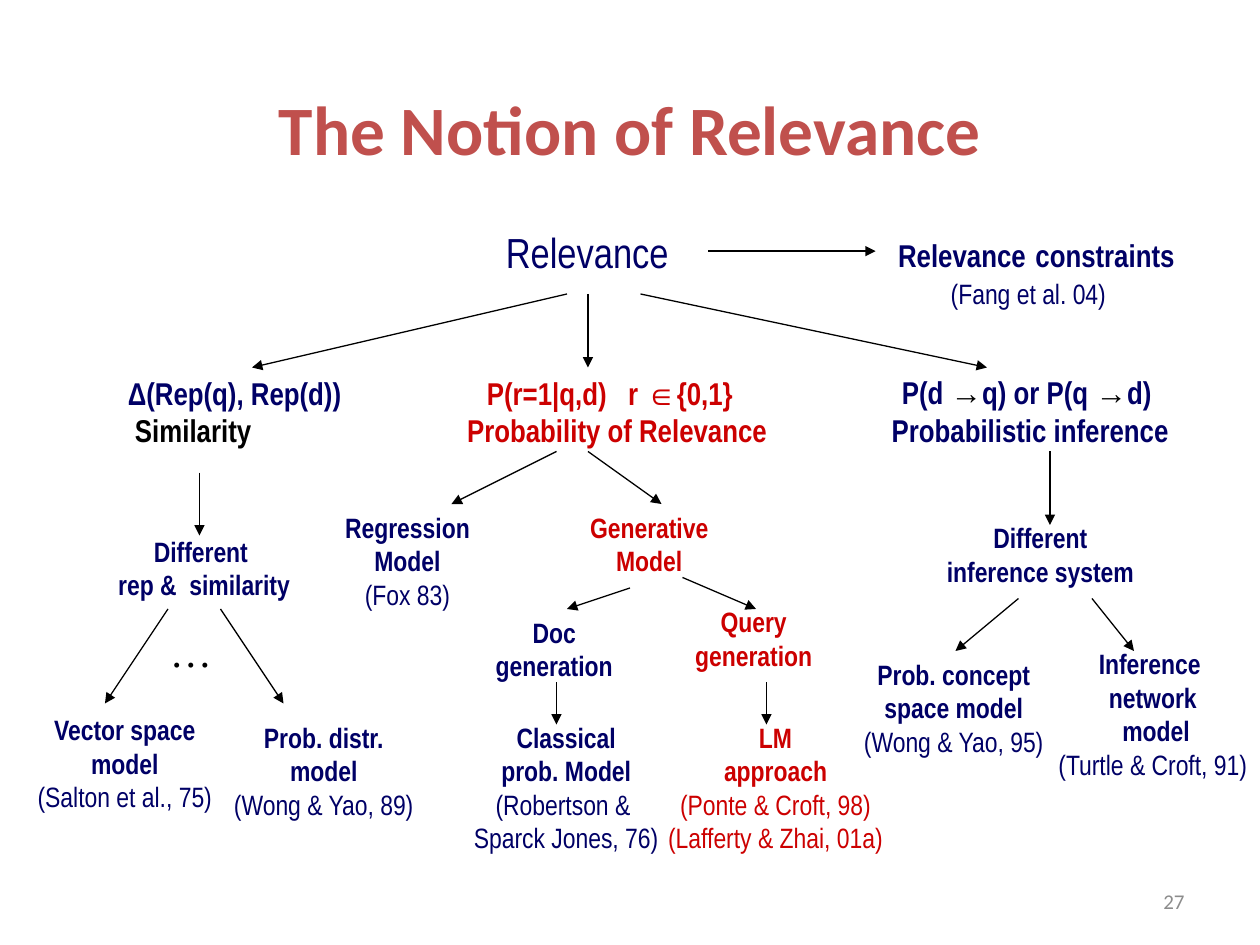
from lxml import etree
from pptx import Presentation
from pptx.dml.color import RGBColor
from pptx.enum.shapes import MSO_CONNECTOR
from pptx.enum.text import MSO_ANCHOR, MSO_AUTO_SIZE, PP_ALIGN
from pptx.oxml.ns import qn
from pptx.util import Pt

LEFT, CENTER, RIGHT = PP_ALIGN.LEFT, PP_ALIGN.CENTER, PP_ALIGN.RIGHT
MIDDLE = MSO_ANCHOR.MIDDLE
FIT, FIXED = MSO_AUTO_SIZE.SHAPE_TO_FIT_TEXT, MSO_AUTO_SIZE.NONE
STRAIGHT = MSO_CONNECTOR.STRAIGHT
NAVY, RED, BLACK = "000066", "CC0000", "000000"
SERIF = "Times New Roman"


def rgb(code):
    return RGBColor.from_string(code)


class Diagram:
    base = {"name": "Arial Narrow", "size": 18, "bold": True, "color": NAVY}

    def __init__(self, slide):
        self.s = slide

    def add_run(self, p, text, fmt):
        r = p.add_run()
        r.text = text
        fmt = {**self.base, **fmt}
        r.font.color.rgb = rgb(fmt.pop("color"))
        fmt["size"] = Pt(fmt["size"])
        for name, value in fmt.items():
            setattr(r.font, name, value)

    def text(self, box, lines, align=CENTER, **frame):
        """Each line is a list of (text, format) runs."""
        tf = self.s.shapes.add_textbox(*map(Pt, box)).text_frame
        for name, value in {"word_wrap": False, "auto_size": FIT, **frame}.items():
            setattr(tf, name, value)
        for i, line in enumerate(lines):
            p = tf.add_paragraph() if i else tf.paragraphs[0]
            p.alignment = align
            for text, fmt in line:
                self.add_run(p, text, fmt)

    def node(self, box, names, sources=(), color=NAVY):
        """Bold name lines above plain citation lines."""
        lines = [[(t, {"size": 16, "color": color})] for t in names]
        lines += [[(t, {"size": 16, "color": color, "bold": False})] for t in sources]
        self.text(box, lines, margin_left=Pt(4), margin_right=Pt(4))

    def arrow(self, x1, y1, x2, y2):
        c = self.s.shapes.add_connector(STRAIGHT, *map(Pt, (x1, y1, x2, y2)))
        c.line.color.rgb = rgb(BLACK)
        c.line.width = Pt(0.75)
        sp_pr = c._element.spPr
        etree.SubElement(sp_pr.find(qn("a:ln")), qn("a:tailEnd"), type="triangle")
        etree.SubElement(sp_pr, qn("a:effectLst"))


NODES = [
    ((60.5, 301.7, 112.3, 46), ["Different ", "rep &  similarity"]),
    ((14.4, 403.7, 113.8, 65), ["Vector space", "model"], ["(Salton et al., 75)"]),
    ((126, 408, 118, 65), ["Prob. distr.", "model"], ["(Wong & Yao, 89)"]),
    ((330, 288, 82, 46), ["Generative", "Model"], [], RED),
    ((190, 288, 85.7, 65), ["Regression", "Model"], ["(Fox 83)"]),
    ((263.5, 408, 120.2, 84), ["Classical", "prob. Model"],
     ["(Robertson & ", "Sparck Jones, 76)"]),
    ((276, 348, 81.4, 46), ["Doc", "generation"]),
    ((390, 342, 81.4, 46), ["Query", "generation"], [], RED),
    ((374.4, 408, 137.5, 84), ["LM", "approach"],
     ["(Ponte & Croft, 98)", "(Lafferty & Zhai, 01a)"], RED),
    ((486, 372, 118, 65), ["Prob. concept", "space model"], ["(Wong & Yao, 95)"]),
    ((534, 294, 121, 46), ["Different", "inference system"]),
    ((597.6, 366, 122.4, 84), ["Inference ", "network", " model"],
     ["(Turtle & Croft, 91)"]),
]

ARROWS = [
    (324, 168, 144, 210), (336, 168, 336, 210), (366, 168, 564, 210),
    (114, 270, 114, 306), (96, 348, 60, 402), (126, 348, 162, 402),
    (318, 258, 258, 288), (336, 258, 378, 288),
    (360, 336, 324, 348), (390, 330, 432, 348),
    (318, 390, 318, 414), (438, 390, 438, 414),
    (600, 258, 600, 300), (582, 342, 546, 372), (624, 342, 648, 372),
    (404.6, 143.5, 500.4, 143.5),
]


def main():
    prs = Presentation()
    prs.slide_width, prs.slide_height = Pt(720), Pt(540)
    d = Diagram(prs.slides.add_slide(prs.slide_layouts[6]))

    fixed = {"word_wrap": True, "auto_size": FIXED, "vertical_anchor": MIDDLE}
    d.text((36, 21.6, 648, 90),
           [[("The Notion of Relevance",
              {"name": "Calibri", "size": 39.6, "color": "C0504D"})]],
           margin_top=Pt(15.8), **fixed)
    d.text((516, 500.5, 168, 28.8),
           [[("27", {"name": "Calibri", "size": 12, "bold": False,
                     "color": "8C8C8C"})]], RIGHT, **fixed)

    d.text((282, 126, 108, 36),
           [[("Relevance", {"size": 24, "bold": False})]], LEFT)
    d.text((499.5, 125.5, 180, 55.5),
           [[(" ", {"size": 24}), ("Relevance", {}), (" ", {"size": 24}),
             ("constraints", {})],
            [("(Fang et al. 04) ", {"size": 16, "bold": False})]])

    d.text((66, 210, 153.4, 50.4),
           [[("Δ(Rep(q), Rep(d))", {})], [(" Similarity", {"color": BLACK})]], LEFT)
    d.text((255.6, 210, 190, 50.4),
           [[("P(r=1|q,d)   r ∈{0,1} ", {"color": RED})],
            [(" ", {}), ("Probability of Relevance", {"color": RED})]])
    implies = ("→", {"name": SERIF, "color": BLACK})
    d.text((498.2, 209.5, 177, 50.4),
           [[("P(d ", {}), implies, ("q) or P(q ", {}), implies, ("d)", {})],
            [(" Probabilistic inference", {})]])

    for node in NODES:
        d.node(*node)
    d.text((90, 354, 38.2, 36),
           [[("…", {"name": SERIF, "size": 24, "bold": False, "color": BLACK})]],
           LEFT)
    for ends in ARROWS:
        d.arrow(*ends)

    prs.save("out.pptx")


if __name__ == "__main__":
    main()
